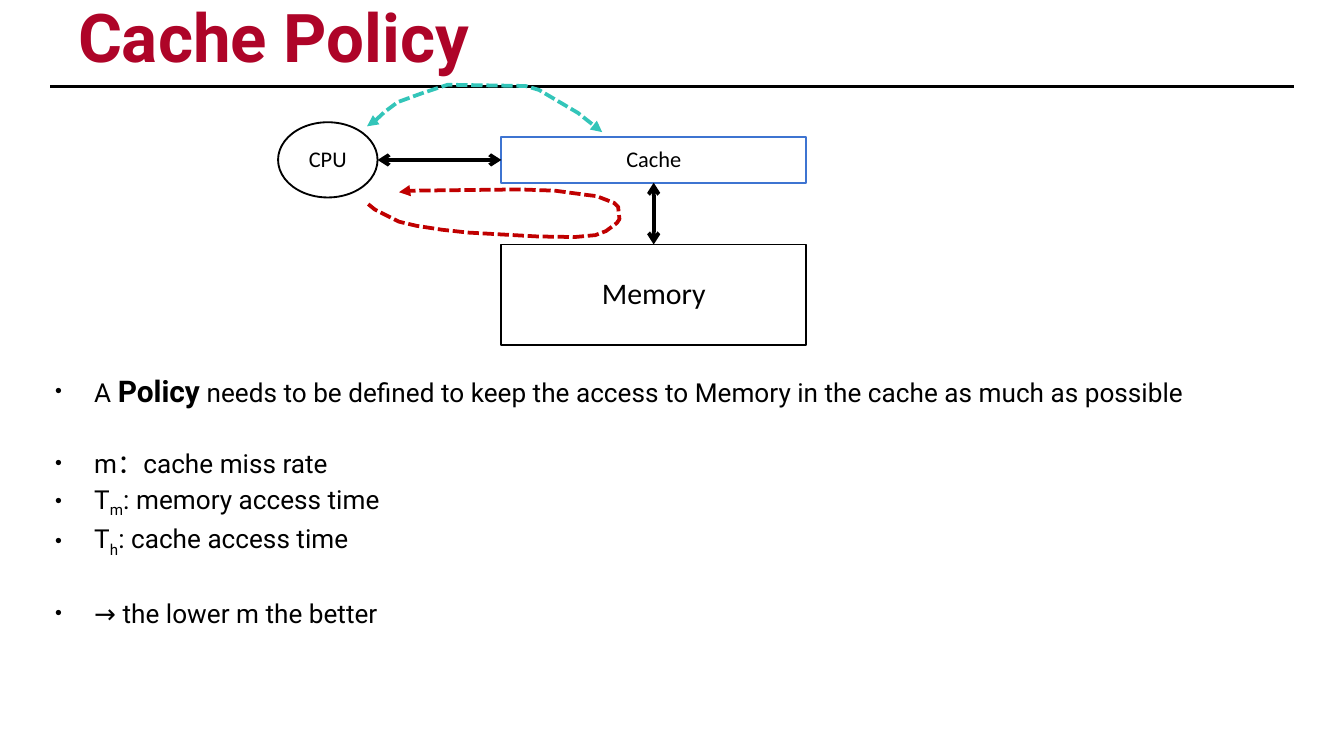
import pptx
import pptx.util
import pptx.dml.color
import pptx.enum.dml
import pptx.enum.shapes
import pptx.enum.text
import pptx.oxml
import pptx.oxml.ns
from dataclasses import dataclass
from lxml import etree

Pt = pptx.util.Pt
RGB = pptx.dml.color.RGBColor.from_string
qn = pptx.oxml.ns.qn
SHAPE = pptx.enum.shapes.MSO_SHAPE
ANCHOR = pptx.enum.text.MSO_ANCHOR


@dataclass(frozen=True)
class Theme:
    ink: str = "000000"
    paper: str = "FFFFFF"
    title: str = "AE0428"
    cache: str = "3E74D1"
    hit: str = "33C5B9"
    miss: str = "C00000"
    text_font: str = "Roboto"
    diagram_font: str = "Calibri"
    title_size: int = 36
    large: int = 16
    body: int = 14
    small: int = 12


theme = Theme()


def add_run(paragraph, text, font, size, color=theme.ink, bold=False):
    run = paragraph.add_run()
    run.text = text
    run.font.name = font
    run.font.size = Pt(size)
    run.font.bold = bold
    run.font.color.rgb = RGB(color)
    return run


def style_line(shape, color, width, **ends):
    shape.line.color.rgb = RGB(color)
    shape.line.width = Pt(width)
    for end, kind in ends.items():
        etree.SubElement(shape.line._get_or_add_ln(), qn(f"a:{end}"), type=kind)


deck = pptx.Presentation()
deck.slide_width, deck.slide_height = Pt(720), Pt(405)
slide = deck.slides.add_slide(deck.slide_layouts[5])
shapes = slide.shapes

heading = shapes.title
heading.left, heading.top, heading.width, heading.height = Pt(39.6), Pt(7.2), Pt(641.5), Pt(35.3)
bullets = shapes.add_textbox(Pt(27.4), Pt(197.5), Pt(665.3), Pt(179.3))
for block in (heading, bullets):
    frame = block.text_frame
    frame.word_wrap = True
    frame.auto_size = pptx.enum.text.MSO_AUTO_SIZE.NONE
    frame.vertical_anchor = ANCHOR.TOP
    frame.margin_left = frame.margin_right = frame.margin_top = frame.margin_bottom = Pt(2.2)

heading_line = heading.text_frame.paragraphs[0]
heading_line.alignment = pptx.enum.text.PP_ALIGN.LEFT
heading_line.line_spacing = 0.7
add_run(heading_line, "Cache Policy", theme.text_font, theme.title_size, theme.title, True)

nodes = [
    ("Cache", SHAPE.RECTANGLE, 268.6, 73.4, 163.4, 24.5, theme.cache, theme.small),
    ("Memory", SHAPE.RECTANGLE, 268.6, 131, 163.4, 54, theme.ink, theme.large),
    ("CPU", SHAPE.OVAL, 149, 65.5, 53.3, 40.3, theme.ink, theme.small),
]
for label, kind, left, top, width, height, outline, size in nodes:
    node = shapes.add_shape(kind, Pt(left), Pt(top), Pt(width), Pt(height))
    node.shadow.inherit = False
    node.fill.solid()
    node.fill.fore_color.rgb = RGB(theme.paper)
    style_line(node, outline, 1)
    frame = node.text_frame
    frame.vertical_anchor = ANCHOR.MIDDLE
    frame.margin_left = frame.margin_right = frame.margin_top = frame.margin_bottom = Pt(2.2)
    caption = frame.paragraphs[0]
    caption.alignment = pptx.enum.text.PP_ALIGN.CENTER
    caption.line_spacing = 0.9
    add_run(caption, label, theme.diagram_font, size)

both_ends = {"headEnd": "arrow", "tailEnd": "arrow"}
links = [
    (26.9, 46.3, 693, 46.3, {}),
    (202.3, 85.7, 268.6, 85.7, both_ends),
    (350.2, 131, 350.2, 97.9, both_ends),
]
for x1, y1, x2, y2, ends in links:
    link = shapes.add_connector(
        pptx.enum.shapes.MSO_CONNECTOR.STRAIGHT, Pt(x1), Pt(y1), Pt(x2), Pt(y2))
    style_line(link, theme.ink, 2, **ends)
    etree.SubElement(link._element.spPr, qn("a:effectLst"))

hit_route = [
    (196.6, 67.7), (199.4, 66.2), (206, 60), (213.1, 54.7), (226, 50), (239.8, 45.4),
    (281.5, 46.1), (288.7, 48.2), (309.6, 60.5), (322.6, 70.8),
]
miss_route = [
    (197.3, 109.4), (200.9, 112.3), (213.8, 118.8), (223.2, 121), (236.9, 123.1),
    (250.6, 124.6), (288, 126.7), (308, 127), (319, 126), (324.7, 123.8), (330.5, 119.5),
    (331.9, 117.4), (331.2, 110.9), (329, 108.7), (319.7, 105.1), (313.9, 104.4),
    (297.4, 102.2), (278.6, 101.5), (218.9, 102.2), (213.8, 103),
]
routes = [
    (hit_route, theme.hit, {"headEnd": "triangle", "tailEnd": "triangle"}),
    (miss_route, theme.miss, {"tailEnd": "triangle"}),
]
for stops, color, ends in routes:
    start, *rest = [(Pt(x), Pt(y)) for x, y in stops]
    builder = shapes.build_freeform(*start)
    builder.add_line_segments(rest, close=False)
    route = builder.convert_to_shape()
    route.shadow.inherit = False
    route.fill.background()
    route.line.dash_style = pptx.enum.dml.MSO_LINE.SQUARE_DOT
    style_line(route, color, 2, **ends)

body, large = theme.body, theme.large
near, apart = 2.2, 20.8
points = [
    (0, [("A ", body, False, 0), ("Policy", large, True, 0),
         (" needs to be defined to keep the access to Memory in the cache as much as possible",
          body, False, 0)]),
    (apart, [("m：cache miss rate", body, False, 0)]),
    (near, [("T", body, False, 0), ("m", body, False, -25000),
            (": memory access time", body, False, 0)]),
    (near, [("T", body, False, 0), ("h", body, False, -25000),
            (": cache access time", body, False, 0)]),
    (apart, [("→ the lower m the better", body, False, 0)]),
]
for index, (gap, parts) in enumerate(points):
    frame = bullets.text_frame
    point = frame.add_paragraph() if index else frame.paragraphs[0]
    point.space_before = Pt(gap)
    properties = point._p.get_or_add_pPr()
    properties.set("marL", str(Pt(20.9)))
    properties.set("indent", str(-Pt(20.9)))
    etree.SubElement(properties, qn("a:buSzPct"), val="75000")
    etree.SubElement(properties, qn("a:buFont"), typeface="Arial")
    etree.SubElement(properties, qn("a:buChar"), char="•")
    for text, size, bold, baseline in parts:
        run = add_run(point, text, theme.text_font, size, bold=bold)
        if baseline:
            run.font._element.set("baseline", str(baseline))

deck.save("out.pptx")
